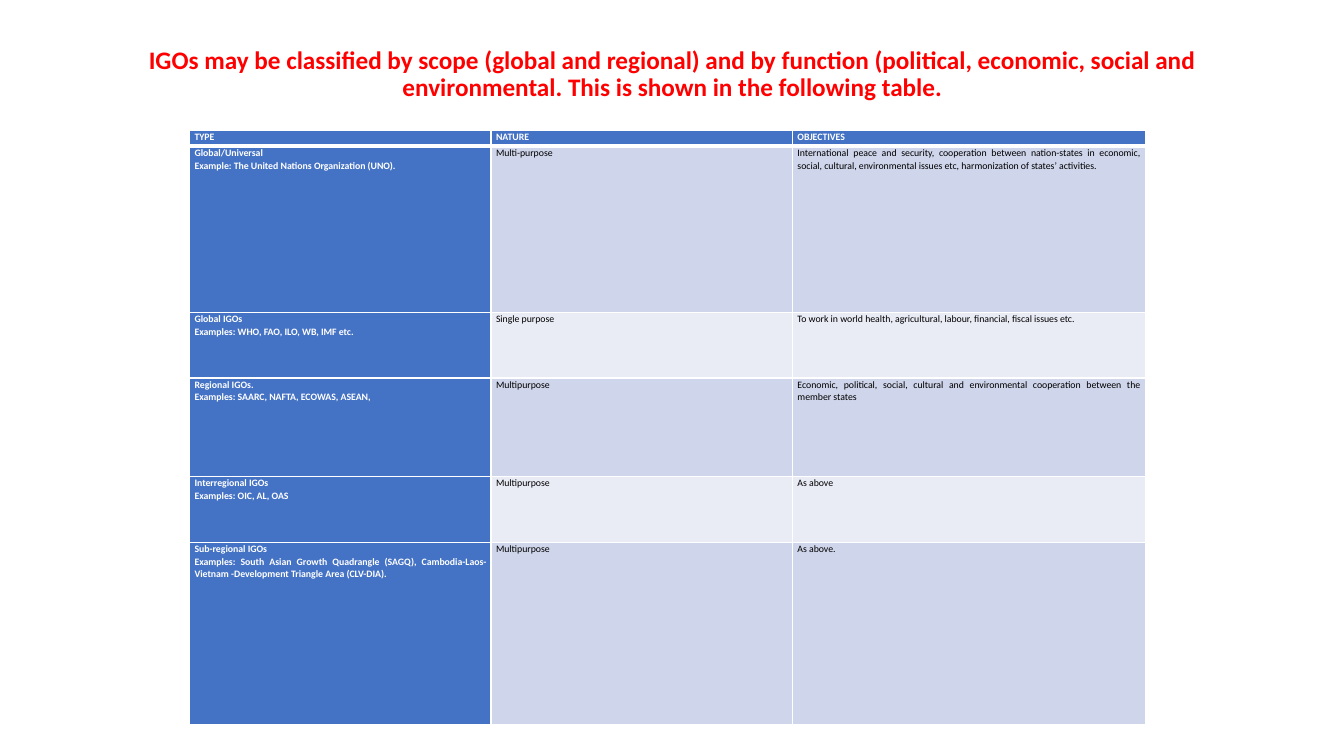
from lxml import etree
from pptx import Presentation
from pptx.dml.color import RGBColor
from pptx.enum import text
from pptx.oxml import ns
from pptx.util import Inches, Pt

BLUE, WHITE, BLACK, RED = "4472C4", "FFFFFF", "000000", "FF0000"
BANDS = ("CFD5EA", "E9EBF5")
TITLE = ("IGOs may be classified by scope (global and regional) and by function "
         "(political, economic, social and environmental. "
         "This is shown in the following table.")
COLUMN_WIDTHS = (2.99, 2.99, 3.5)
ROW_HEIGHTS = (0.16, 1.65, 0.65, 0.98, 0.65, 1.81)
ROWS = (
    ("TYPE", "NATURE", "OBJECTIVES"),
    ("Global/Universal\nExample: The United Nations Organization (UNO).",
     "Multi-purpose",
     "International peace and security, cooperation between nation-states in economic, "
     "social, cultural, environmental issues etc, harmonization of states’ activities."),
    ("Global IGOs\nExamples: WHO, FAO, ILO, WB, IMF etc.",
     "Single purpose",
     "To work in world health, agricultural, labour, financial, fiscal issues etc."),
    ("Regional IGOs.\nExamples: SAARC, NAFTA, ECOWAS, ASEAN,",
     "Multipurpose",
     "Economic, political, social, cultural and environmental cooperation "
     "between the member states"),
    ("Interregional IGOs\nExamples: OIC, AL, OAS", "Multipurpose", "As above"),
    ("Sub-regional IGOs\nExamples: South Asian Growth Quadrangle (SAGQ), "
     "Cambodia-Laos-Vietnam -Development Triangle Area (CLV-DIA).",
     "Multipurpose", "As above."),
)


def rgb(value):
    return RGBColor.from_string(value)


def write(tf, content, *, size, color, bold, align, spacing, font="Calibri"):
    """Fill a text frame, one paragraph per line of content."""
    tf.word_wrap = True
    for i, line in enumerate(content.split("\n")):
        p = tf.add_paragraph() if i else tf.paragraphs[0]
        p.alignment, p.line_spacing = align, spacing
        p.space_before = p.space_after = Pt(0)
        r = p.add_run()
        r.text = line
        r.font.name, r.font.size, r.font.bold = font, Pt(size), bold
        r.font.color.rgb = rgb(color)


def set_borders(cell, color, **widths):
    """Draw cell borders; widths in points are keyed L, R, T and B, in that order."""
    tcPr = cell._tc.get_or_add_tcPr()
    for i, (side, width) in enumerate(widths.items()):
        ln = etree.Element(ns.qn(f"a:ln{side}"), w=str(Pt(width)))
        fill = etree.SubElement(ln, ns.qn("a:solidFill"))
        etree.SubElement(fill, ns.qn("a:srgbClr"), val=color)
        tcPr.insert(i, ln)


class SlideBuilder:
    def __init__(self, prs):
        self.s = prs.slides.add_slide(prs.slide_layouts[5])

    def title(self, content, left, top, width, height):
        sp = self.s.shapes.title
        sp.left, sp.top, sp.width, sp.height = map(Inches, (left, top, width, height))
        tf = sp.text_frame
        tf.vertical_anchor = text.MSO_ANCHOR.TOP
        tf.margin_top = Inches(0.07)
        write(tf, content, size=18, color=RED, bold=True,
              align=text.PP_ALIGN.CENTER, spacing=0.9)

    def cell(self, cell, content, row, column):
        heading = row == 0 or column == 0
        cell.margin_left = cell.margin_right = Inches(0.05)
        cell.margin_top = cell.margin_bottom = 0
        cell.fill.solid()
        cell.fill.fore_color.rgb = rgb(BLUE if heading else BANDS[(row - 1) % 2])
        set_borders(cell, WHITE, L=1, R=1, T=3 if row == 1 else 1, B=3 if row == 0 else 1)
        write(cell.text_frame, content, size=7, color=WHITE if heading else BLACK,
              bold=heading, align=text.PP_ALIGN.JUSTIFY, spacing=1.07)

    def table(self, rows, widths, heights, left, top):
        table = self.s.shapes.add_table(
            len(rows), len(widths), Inches(left), Inches(top),
            Inches(sum(widths)), Inches(sum(heights))).table
        for column, width in zip(table.columns, widths):
            column.width = Inches(width)
        for row, height in zip(table.rows, heights):
            row.height = Inches(height)
        for i, row in enumerate(rows):
            for j, content in enumerate(row):
                self.cell(table.cell(i, j), content, i, j)


def main():
    prs = Presentation()
    prs.slide_width, prs.slide_height = Inches(13.33), Inches(7.5)
    slide = SlideBuilder(prs)
    slide.title(TITLE, 0.92, 0.4, 11.5, 1.45)
    slide.table(ROWS, COLUMN_WIDTHS, ROW_HEIGHTS, 1.88, 1.29)
    prs.save("out.pptx")


if __name__ == "__main__":
    main()
